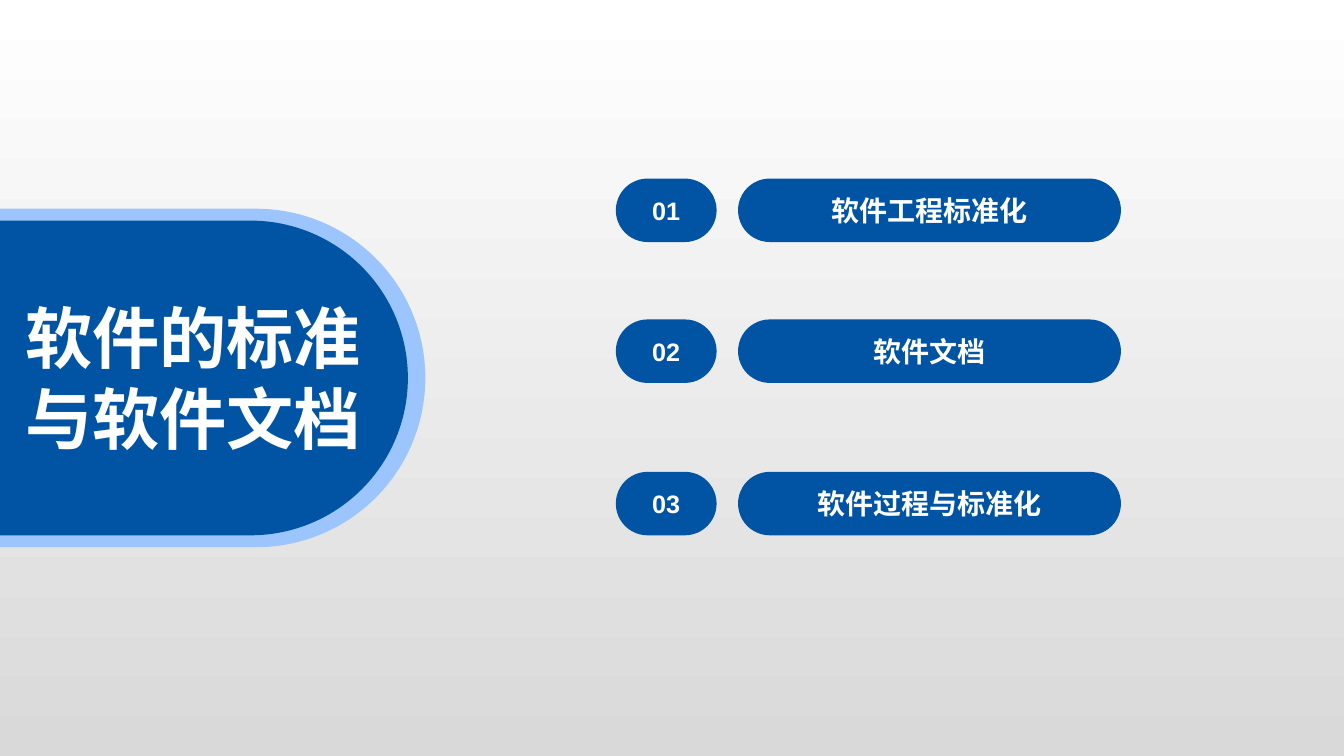
from dataclasses import dataclass

from pptx import Presentation
from pptx.dml.color import RGBColor
from pptx.enum.shapes import MSO_SHAPE
from pptx.enum.text import MSO_ANCHOR, MSO_AUTO_SIZE, PP_ALIGN
from pptx.util import Cm, Pt


@dataclass(frozen=True)
class Theme:
    """Colours, typeface and type sizes of the slide."""

    blue: RGBColor = RGBColor(0x00, 0x54, 0xA3)
    light_blue: RGBColor = RGBColor(0x9C, 0xC5, 0xFD)
    white: RGBColor = RGBColor(0xFF, 0xFF, 0xFF)
    grey: RGBColor = RGBColor(0xD9, 0xD9, 0xD9)
    font: str = "Arial"
    title_size: int = 48
    label_size: int = 20
    number_size: int = 18


THEME = Theme()
TITLE = "软件的标准\n与软件文档"
CHAPTERS = [
    ("01", "软件工程标准化", 4.5),
    ("02", "软件文档", 8.05),
    ("03", "软件过程与标准化", 11.89),
]


def write_text(text_frame, text, size):
    """Fill a text frame with centred bold white text."""
    text_frame.text = text
    for paragraph in text_frame.paragraphs:
        paragraph.alignment = PP_ALIGN.CENTER
        for run in paragraph.runs:
            run.font.name = THEME.font
            run.font.size = Pt(size)
            run.font.bold = True
            run.font.color.rgb = THEME.white


def add_pill(shapes, left, top, width, height, colour):
    """Add a fully rounded rectangle, measured in centimetres."""
    shape = shapes.add_shape(
        MSO_SHAPE.ROUNDED_RECTANGLE, Cm(left), Cm(top), Cm(width), Cm(height)
    )
    shape.adjustments[0] = 0.5
    shape.shadow.inherit = False
    shape.fill.solid()
    shape.fill.fore_color.rgb = colour
    shape.line.fill.background()
    return shape


def paint_background(slide):
    """Shade the slide from white at the top to grey at the bottom."""
    fill = slide.background.fill
    fill.gradient()
    fill.gradient_angle = 270
    for stop, colour in zip(fill.gradient_stops, (THEME.white, THEME.grey)):
        stop.color.rgb = colour


def add_title_banner(slide, left, top, width, height):
    """Draw the rimmed banner that enters from the left edge, with the title."""
    rim_x, rim_y = 0.66, 0.3
    add_pill(slide.shapes, left, top, width, height, THEME.light_blue)
    add_pill(
        slide.shapes,
        left + rim_x,
        top + rim_y,
        width - 1.1,
        height - 2 * rim_y,
        THEME.blue,
    )
    title_height = 4.37
    title = slide.shapes.add_textbox(
        Cm(left + 5.34),
        Cm(top + (height - title_height) / 2),
        Cm(9.02),
        Cm(title_height),
    )
    title.text_frame.word_wrap = False
    title.text_frame.auto_size = MSO_AUTO_SIZE.SHAPE_TO_FIT_TEXT
    write_text(title.text_frame, TITLE, THEME.title_size)


def add_chapter(slide, left, top, width, height, number, label):
    """Draw one agenda entry: a number pill and a label pill, grouped."""
    number_width, gap = 2.54, 0.54
    label_left = left + number_width + gap
    label_width = width - number_width - gap
    group = slide.shapes.add_group_shape()
    for pill_left, pill_width, text, size in (
        (left, number_width, number, THEME.number_size),
        (label_left, label_width, label, THEME.label_size),
    ):
        pill = add_pill(group.shapes, pill_left, top, pill_width, height, THEME.blue)
        pill.text_frame.vertical_anchor = MSO_ANCHOR.MIDDLE
        write_text(pill.text_frame, text, size)


def main():
    """Build the agenda slide and save it."""
    presentation = Presentation()
    presentation.slide_width = Cm(33.87)
    presentation.slide_height = Cm(19.05)
    slide = presentation.slides.add_slide(presentation.slide_layouts[6])
    paint_background(slide)
    add_title_banner(slide, -4.98, 5.26, 15.7, 8.53)
    for number, label, top in CHAPTERS:
        add_chapter(slide, 15.52, top, 12.73, 1.6, number, label)
    presentation.save("out.pptx")


if __name__ == "__main__":
    main()
